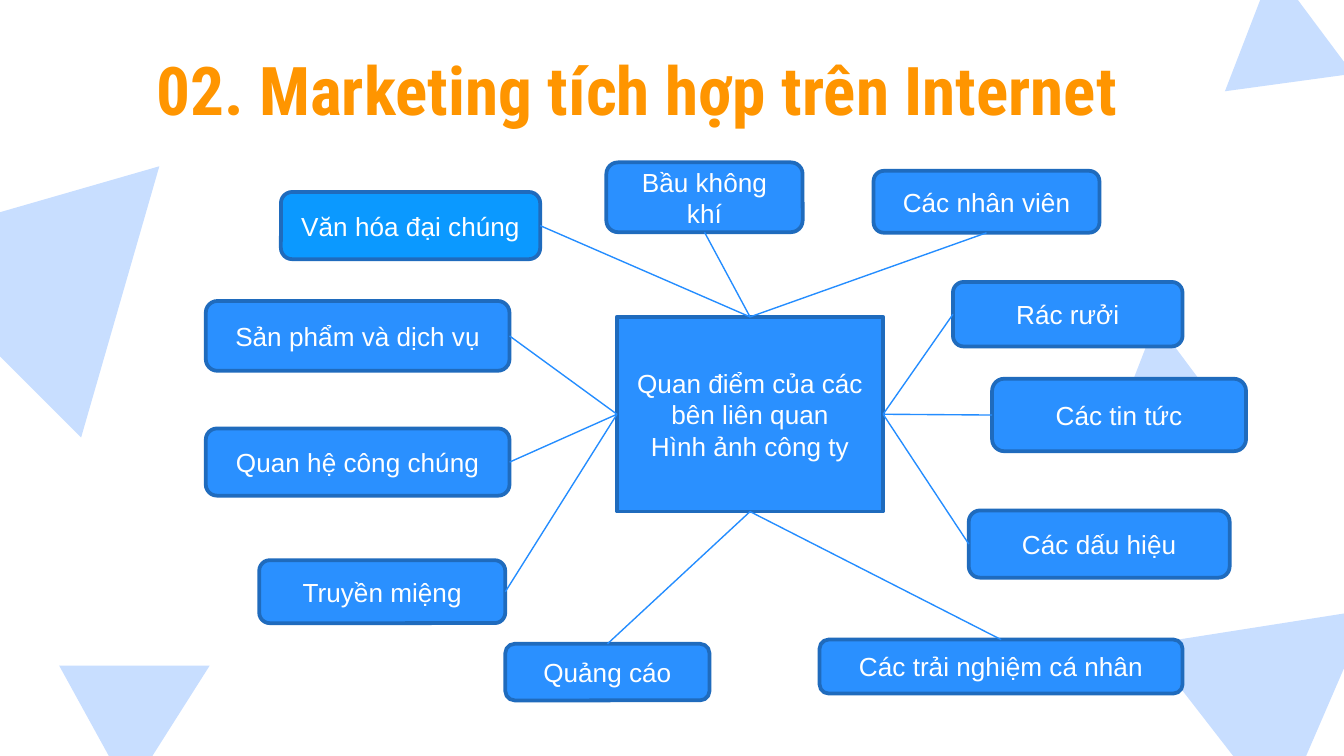
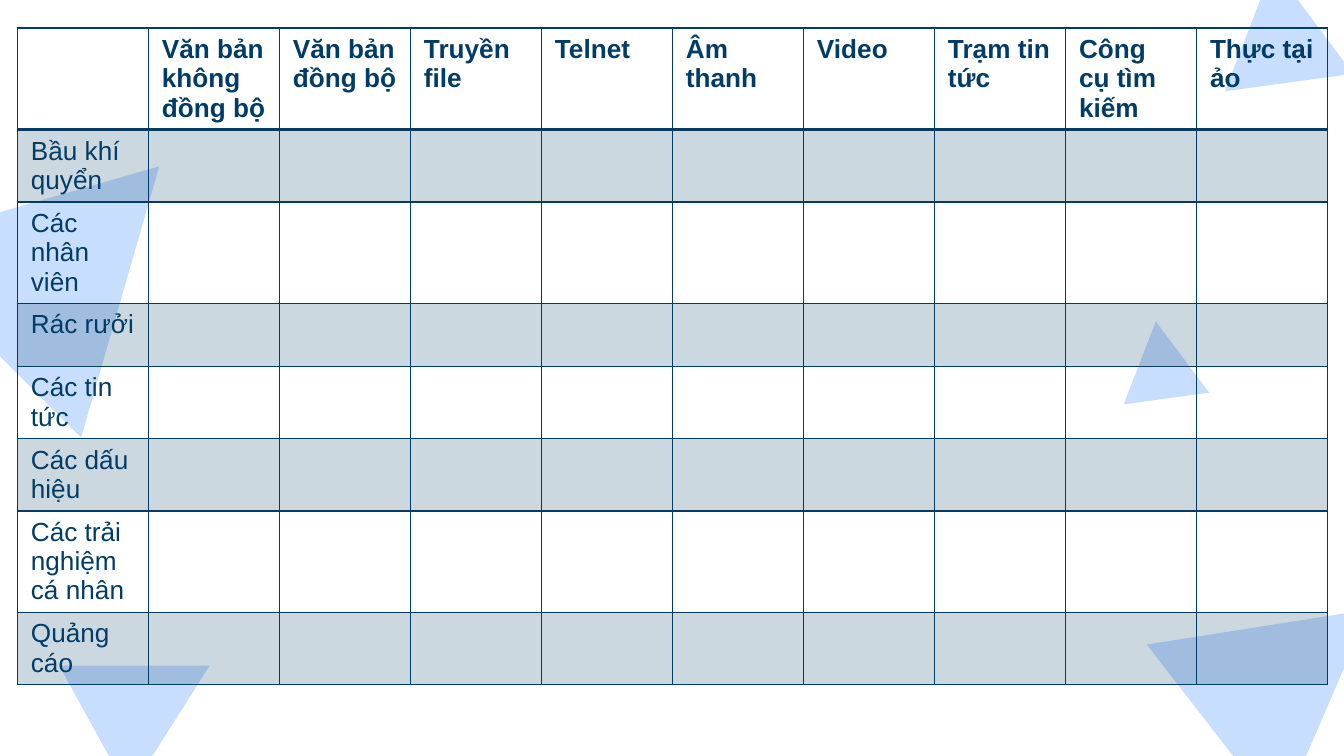
from dataclasses import dataclass

from lxml import etree
from pptx import Presentation
from pptx import util as u
from pptx.dml.color import RGBColor
from pptx.enum import shapes, text
from pptx.oxml import ns

# Content: lengths in centimetres
TITLE = "02. Marketing tích hợp trên Internet"
HUB = (["Quan điểm của các bên liên quan", "Hình ảnh công ty"],
       (11.66, 5.99, 5.03, 3.68))
# Label, place, side of the label and side of the hub that the line joins
SOURCES = [
    ("Văn hóa đại chúng", (5.31, 3.63, 4.9, 1.27), "right", "top"),
    ("Sản phẩm và dịch vụ", (3.89, 5.69, 5.74, 1.32), "right", "left"),
    ("Quan hệ công chúng", (3.89, 8.1, 5.74, 1.27), "right", "left"),
    ("Truyền miệng", (4.9, 10.59, 4.65, 1.19), "right", "left"),
    ("Bầu không khí", (11.46, 3.07, 3.71, 1.32), "bottom", "top"),
    ("Các nhân viên", (16.51, 3.23, 4.27, 1.17), "bottom", "top"),
    ("Rác rưởi", (18.01, 5.33, 4.34, 1.22), "left", "right"),
    ("Các tin tức", (18.75, 7.16, 4.8, 1.37), "left", "right"),
    ("Các dấu hiệu", (18.31, 9.65, 4.93, 1.27), "left", "right"),
    ("Các trải nghiệm cá nhân", (15.49, 12.09, 6.86, 1.02), "top", "bottom"),
    ("Quảng cáo", (9.55, 12.17, 3.86, 1.07), "top", "bottom"),
]
HIGHLIGHT = "Văn hóa đại chúng"

CHANNELS = ["", "Văn bản không đồng bộ", "Văn bản đồng bộ", "Truyền file",
            "Telnet", "Âm thanh", "Video", "Trạm tin tức",
            "Công cụ tìm kiếm", "Thực tại ảo"]
TOUCHPOINTS = ["Bầu khí quyển", "Các nhân viên", "Rác rưởi", "Các tin tức",
               "Các dấu hiệu", "Các trải nghiệm cá nhân", "Quảng cáo"]
TALL_ROWS = {"Các nhân viên", "Các trải nghiệm cá nhân"}

# Background triangles: place and rotation
TRIANGLES = [
    ((21.13, 6.07, 1.63, 1.47), 352.2),
    ((1.5, 11.94, 2.74, 2.49), 61.2),
    ((-1.22, 2.46, 5.16, 4.67), 45),
    ((22.99, -0.64, 2.44, 2.21), 352.2),
    ((22.35, 10.8, 4.11, 3.73), 52.2),
]
SITES = {"top": 0, "left": 1, "bottom": 2, "right": 3}


@dataclass(frozen=True)
class Theme:
    pale: str = "C8DEFF"
    orange: str = "FF9500"
    blue: str = "2A90FF"
    bright: str = "0B99FF"
    edge: str = "1F6BBD"
    link: str = "248DFF"
    navy: str = "003C67"
    white: str = "FFFFFF"
    title_font: str = "Roboto Condensed"
    body_font: str = "Arial"
    title_size: int = 36
    body_size: int = 14


THEME = Theme()
TITLE_FORMAT = {"name": THEME.title_font, "size": u.Pt(THEME.title_size), "bold": True}
BODY_FORMAT = {"name": THEME.body_font, "size": u.Pt(THEME.body_size), "bold": False}
HEADER_FORMAT = {**BODY_FORMAT, "bold": True}


def rgb(color):
    return RGBColor.from_string(color)


def place(box):
    return [u.Cm(length) for length in box]


def write(frame, lines, font_format, color, align=None):
    frame.word_wrap = True
    for index, line in enumerate(lines):
        paragraph = frame.add_paragraph() if index else frame.paragraphs[0]
        paragraph.alignment = align
        run = paragraph.add_run()
        run.text = line
        for key, value in font_format.items():
            setattr(run.font, key, value)
        run.font.color.rgb = rgb(color)


def add_figure(slide, preset, box, fill, edge=None):
    figure = slide.shapes.add_shape(preset, *place(box))
    figure.shadow.inherit = False
    figure.fill.solid()
    figure.fill.fore_color.rgb = rgb(fill)
    if edge:
        figure.line.color.rgb = rgb(edge)
        figure.line.width = u.Pt(2)
    else:
        figure.line.fill.background()
    return figure


def add_label(slide, preset, box, lines, fill):
    label = add_figure(slide, preset, box, fill, THEME.edge)
    label.text_frame.vertical_anchor = text.MSO_ANCHOR.MIDDLE
    write(label.text_frame, lines, BODY_FORMAT, THEME.white, text.PP_ALIGN.CENTER)
    return label


def join(slide, label, label_side, hub, hub_side):
    link = slide.shapes.add_connector(shapes.MSO_CONNECTOR.STRAIGHT, 0, 0, 0, 0)
    link.begin_connect(label, SITES[label_side])
    link.end_connect(hub, SITES[hub_side])
    link.line.color.rgb = rgb(THEME.link)
    link.line.width = u.Pt(0.75)
    etree.SubElement(link._element.spPr, ns.qn("a:effectLst"))


def add_slide(deck):
    slide = deck.slides.add_slide(deck.slide_layouts[6])
    for box, rotation in TRIANGLES:
        triangle = add_figure(slide, shapes.MSO_SHAPE.ISOSCELES_TRIANGLE, box, THEME.pale)
        triangle.rotation = rotation
    return slide


def build_map(deck):
    slide = add_slide(deck)
    heading = slide.shapes.add_textbox(*place((1.32, 0.66, 21.44, 1.57))).text_frame
    for side in SITES:
        setattr(heading, f"margin_{side}", u.Cm(0.25))
    write(heading, [TITLE], TITLE_FORMAT, THEME.orange, text.PP_ALIGN.CENTER)

    # Hub, then every source with its line
    lines, box = HUB
    hub = add_label(slide, shapes.MSO_SHAPE.RECTANGLE, box, lines, THEME.blue)
    for name, box, side, hub_side in SOURCES:
        fill = THEME.bright if name == HIGHLIGHT else THEME.blue
        label = add_label(slide, shapes.MSO_SHAPE.ROUNDED_RECTANGLE, box, [name], fill)
        join(slide, label, side, hub, hub_side)


def set_borders(cell, widths):
    properties = cell._tc.get_or_add_tcPr()
    for index, (side, width) in enumerate(widths.items()):
        border = etree.Element(ns.qn(f"a:ln{side}"), w=str(u.Pt(width)))
        solid = etree.SubElement(border, ns.qn("a:solidFill"))
        etree.SubElement(solid, ns.qn("a:srgbClr"), val=THEME.navy)
        properties.insert(index, border)


def shade(cell):
    cell.fill.solid()
    cell.fill.fore_color.rgb = rgb(THEME.navy)
    color = cell._tc.tcPr.find(".//" + ns.qn("a:srgbClr"))
    etree.SubElement(color, ns.qn("a:alpha"), val="20000")


def build_matrix(deck):
    slide = add_slide(deck)
    rows = [CHANNELS] + [[name] + [""] * (len(CHANNELS) - 1) for name in TOUCHPOINTS]
    heights = [1.68] + [1.68 if name in TALL_ROWS else 1.19 for name in TOUCHPOINTS]
    width = 24.76
    table = slide.shapes.add_table(
        len(rows), len(CHANNELS), *place((0.33, 0.53, width, sum(heights)))).table
    table.first_row = table.horz_banding = False
    for column in table.columns:
        column.width = u.Cm(width / len(CHANNELS))

    for r, (words, height) in enumerate(zip(rows, heights)):
        table.rows[r].height = u.Cm(height)
        for c, word in enumerate(words):
            cell = table.cell(r, c)
            if r % 2:
                shade(cell)
            else:
                cell.fill.background()
            # The header is closed by a heavier rule
            set_borders(cell, {"L": 1, "R": 1, "T": 2 if r == 1 else 1,
                               "B": 2 if r == 0 else 1})
            if word:
                write(cell.text_frame, [word], BODY_FORMAT if r else HEADER_FORMAT, THEME.navy)


def main():
    deck = Presentation()
    deck.slide_width, deck.slide_height = u.Cm(25.4), u.Cm(14.29)
    build_map(deck)
    build_matrix(deck)
    deck.save("out.pptx")


if __name__ == "__main__":
    main()
